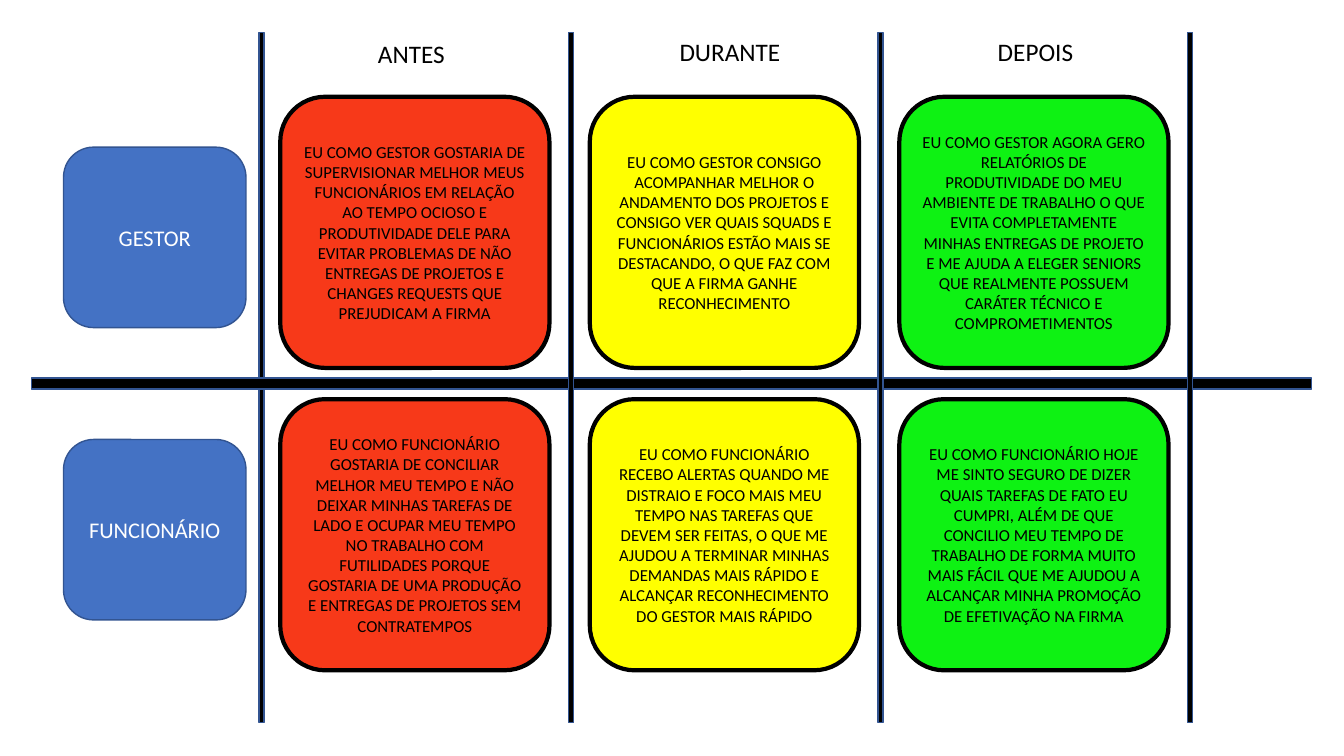
from dataclasses import dataclass
from pptx import Presentation
from pptx import util as u
from pptx.dml import color
from pptx.enum import shapes, text


@dataclass(frozen=True)
class Theme:
    font: str = "Calibri"
    black: str = "000000"
    white: str = "FFFFFF"
    blue: str = "4472C4"
    outline: str = "325491"
    red: str = "F73919"
    yellow: str = "FFFF00"
    green: str = "0EF213"
    header_size: int = 18
    role_size: int = 16
    story_size: int = 12


theme = Theme()
presentation = Presentation()
presentation.slide_width = u.Inches(13.33)
presentation.slide_height = u.Inches(7.5)
slide = presentation.slides.add_slide(presentation.slide_layouts[6])


def add_block(kind, left, top, width, height, fill, line, line_width):
    shape = slide.shapes.add_shape(kind, *map(u.Inches, (left, top, width, height)))
    shape.shadow.inherit = False
    shape.fill.solid()
    shape.fill.fore_color.rgb = color.RGBColor.from_string(fill)
    shape.line.color.rgb = color.RGBColor.from_string(line)
    shape.line.width = u.Pt(line_width)
    return shape


def write(shape, words, size, font_color):
    frame = shape.text_frame
    frame.word_wrap = True
    paragraph = frame.paragraphs[0]
    paragraph.alignment = text.PP_ALIGN.CENTER
    run = paragraph.add_run()
    run.text = words
    run.font.name = theme.font
    run.font.size = u.Pt(size)
    run.font.color.rgb = color.RGBColor.from_string(font_color)


rectangle = shapes.MSO_SHAPE.RECTANGLE
rounded = shapes.MSO_SHAPE.ROUNDED_RECTANGLE
column_pitch = 3.07
first_divider, divider_top, divider_width, divider_height = 2.57, 0.32, 0.05, 6.85
card_inset, card_top, card_pitch = 0.21, 0.96, 3.0
card_width, card_height = 2.67, 2.69
role_left, role_top, role_pitch = 0.63, 1.46, 2.9
role_width, role_height = 1.81, 1.79
header_width, header_height = 2.56, 0.4

dividers = [
    (first_divider + column * column_pitch, divider_top, divider_width, divider_height)
    for column in range(4)
]
row_divider = (0.31, 3.75, 12.7, 0.11)
for bar in [dividers[0], row_divider, *dividers[1:]]:
    add_block(rectangle, *bar, theme.black, theme.outline, 1)

for row, role in enumerate(["GESTOR", "FUNCIONÁRIO"]):
    label = add_block(rounded, role_left, role_top + row * role_pitch,
                      role_width, role_height, theme.blue, theme.outline, 1)
    write(label, role, theme.role_size, theme.white)

stages = [
    ("ANTES", 2.8, 0.33, theme.red, [
        "EU COMO GESTOR GOSTARIA DE SUPERVISIONAR MELHOR MEUS FUNCIONÁRIOS EM RELAÇÃO "
        "AO TEMPO OCIOSO E PRODUTIVIDADE DELE PARA EVITAR PROBLEMAS DE NÃO ENTREGAS DE "
        "PROJETOS E CHANGES REQUESTS QUE PREJUDICAM A FIRMA",
        "EU COMO FUNCIONÁRIO GOSTARIA DE CONCILIAR MELHOR MEU TEMPO E NÃO DEIXAR MINHAS "
        "TAREFAS DE LADO E OCUPAR MEU TEMPO NO TRABALHO COM FUTILIDADES PORQUE GOSTARIA "
        "DE UMA PRODUÇÃO E ENTREGAS DE PROJETOS SEM CONTRATEMPOS",
    ]),
    ("DURANTE", 5.96, 0.31, theme.yellow, [
        "EU COMO GESTOR CONSIGO ACOMPANHAR MELHOR O ANDAMENTO DOS PROJETOS E CONSIGO VER "
        "QUAIS SQUADS E FUNCIONÁRIOS ESTÃO MAIS SE DESTACANDO, O QUE FAZ COM QUE A FIRMA "
        "GANHE RECONHECIMENTO",
        "EU COMO FUNCIONÁRIO RECEBO ALERTAS QUANDO ME DISTRAIO E FOCO MAIS MEU TEMPO NAS "
        "TAREFAS QUE DEVEM SER FEITAS, O QUE ME AJUDOU A TERMINAR MINHAS DEMANDAS MAIS "
        "RÁPIDO E ALCANÇAR RECONHECIMENTO DO GESTOR MAIS RÁPIDO",
    ]),
    ("DEPOIS", 8.99, 0.31, theme.green, [
        "EU COMO GESTOR AGORA GERO RELATÓRIOS DE PRODUTIVIDADE DO MEU AMBIENTE DE TRABALHO "
        "O QUE EVITA COMPLETAMENTE MINHAS ENTREGAS DE PROJETO E ME AJUDA A ELEGER SENIORS "
        "QUE REALMENTE POSSUEM CARÁTER TÉCNICO E COMPROMETIMENTOS",
        "EU COMO FUNCIONÁRIO HOJE ME SINTO SEGURO DE DIZER QUAIS TAREFAS DE FATO EU CUMPRI, "
        "ALÉM DE QUE CONCILIO MEU TEMPO DE TRABALHO DE FORMA MUITO MAIS FÁCIL QUE ME AJUDOU "
        "A ALCANÇAR MINHA PROMOÇÃO DE EFETIVAÇÃO NA FIRMA",
    ]),
]

for column, (stage, header_left, header_top, fill, stories) in enumerate(stages):
    card_left = first_divider + card_inset + column * column_pitch
    for row, story in enumerate(stories):
        card = add_block(rounded, card_left, card_top + row * card_pitch,
                         card_width, card_height, fill, theme.black, 3)
        write(card, story, theme.story_size, theme.black)
    header = slide.shapes.add_textbox(
        *map(u.Inches, (header_left, header_top, header_width, header_height)))
    write(header, stage, theme.header_size, theme.black)

presentation.save("out.pptx")
